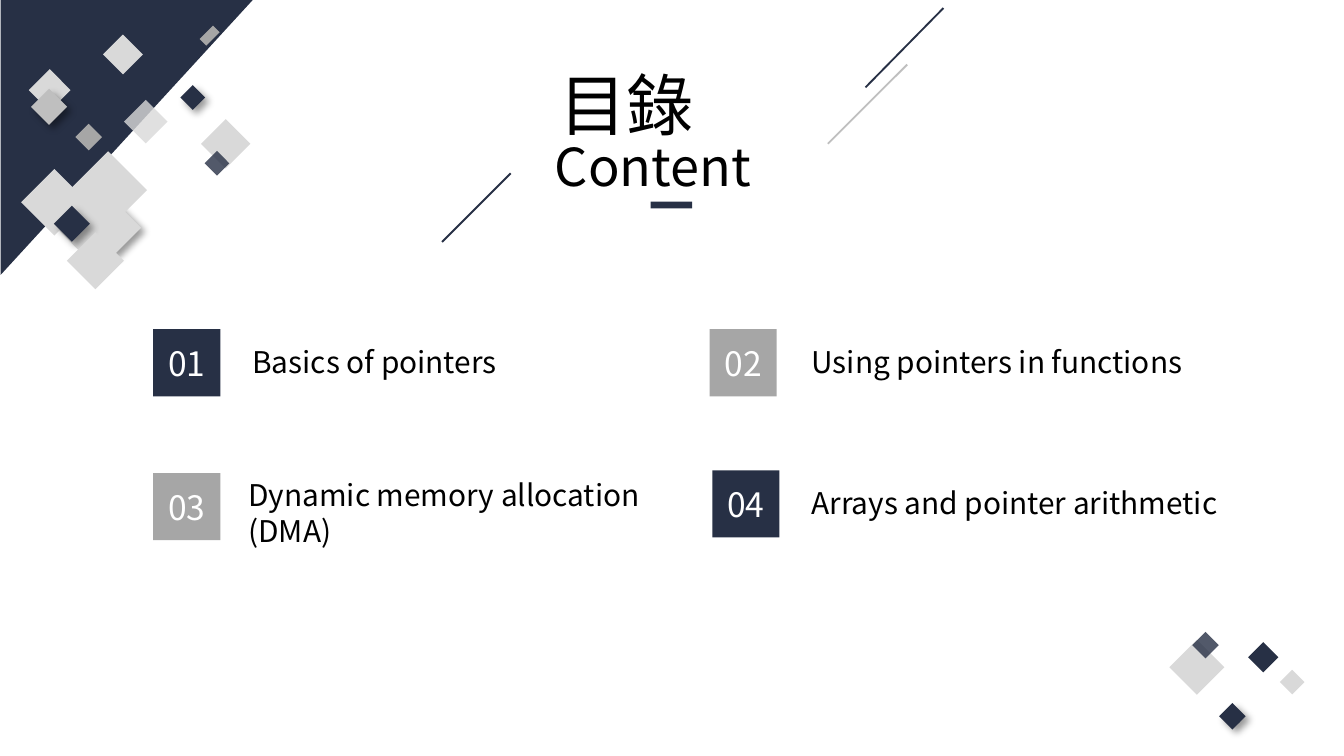
"""Build a contents slide with four numbered topics and diamond decorations."""
from typing import NamedTuple

import lxml.etree
import pptx
import pptx.dml.color
import pptx.enum.shapes
import pptx.enum.text
import pptx.oxml
import pptx.oxml.ns
import pptx.util

Inches = pptx.util.Inches
Shapes = pptx.enum.shapes.MSO_SHAPE
Align = pptx.enum.text.PP_ALIGN
Anchor = pptx.enum.text.MSO_ANCHOR
AutoSize = pptx.enum.text.MSO_AUTO_SIZE

FONT = "Noto Sans CJK SC"
NAVY, SILVER, GRAY, PALE = "273045", "BFBFBF", "A6A6A6", "D9D9D9"
BLACK, WHITE = "000000", "FFFFFF"


class Box(NamedTuple):
    left: float
    top: float
    width: float
    height: float


class Diamond(NamedTuple):
    left: float
    top: float
    size: float
    color: str
    shadow: bool = False
    alpha: int = 100
    height: float | None = None


class Line(NamedTuple):
    start: tuple[float, float]
    end: tuple[float, float]
    color: str


class Topic(NamedTuple):
    number: str
    lines: tuple[str, ...]
    color: str
    badge: tuple[float, float]
    text: Box


LINES = [
    Line((6.44, 0.65), (7.02, 0.06), NAVY),
    Line((6.16, 1.07), (6.75, 0.48), SILVER),
    Line((3.29, 1.8), (3.8, 1.29), NAVY),
]
DIAMONDS = [
    Diamond(9.32, 4.81, 0.16, NAVY),
    Diamond(9.55, 5.01, 0.13, PALE),
    Diamond(8.76, 4.82, 0.29, PALE),
    Diamond(9.1, 5.26, 0.14, NAVY, shadow=True),
    Diamond(8.9, 4.73, 0.14, NAVY, alpha=80),
    Diamond(0.81, 0.3, 0.21, PALE),
    Diamond(0.59, 0.95, 0.14, GRAY),
    Diamond(0.26, 0.56, 0.22, PALE),
    Diamond(0.27, 0.7, 0.19, SILVER, shadow=True),
    Diamond(1.49, 0.23, 0.14, GRAY, height=0.07),
    Diamond(0.23, 1.33, 0.35, PALE),
    Diamond(0.7, 1.55, 0.29, PALE, shadow=True),
    Diamond(0.6, 1.48, 0.18, PALE),
    Diamond(0.46, 1.51, 0.32, PALE),
    Diamond(1.55, 0.94, 0.26, PALE),
    Diamond(1.37, 0.66, 0.13, NAVY, shadow=True),
    Diamond(0.44, 1.57, 0.19, NAVY, shadow=True),
    Diamond(1.55, 1.15, 0.13, NAVY, alpha=80),
    Diamond(0.97, 0.79, 0.23, PALE, alpha=80),
    Diamond(0.6, 1.21, 0.41, PALE),
    Diamond(0.56, 1.79, 0.3, PALE),
]
TOPICS = [
    Topic("03", ("Dynamic memory allocation", "(DMA)"), GRAY, (1.14, 3.52), Box(1.75, 3.5, 3.22, 0.64)),
    Topic("01", ("Basics of pointers",), NAVY, (1.14, 2.45), Box(1.78, 2.51, 2.08, 0.37)),
    Topic("02", ("Using pointers in functions",), GRAY, (5.28, 2.45), Box(5.94, 2.51, 3.09, 0.37)),
    Topic("04", ("Arrays and pointer arithmetic",), NAVY, (5.3, 3.5), Box(5.94, 3.56, 3.35, 0.37)),
]


def rgb(color: str) -> pptx.dml.color.RGBColor:
    return pptx.dml.color.RGBColor.from_string(color)


def add_child(parent, tag: str, **attributes):
    child = lxml.etree.SubElement(parent, pptx.oxml.ns.qn(tag))
    for name, value in attributes.items():
        child.set(name, str(value))
    return child


def write(text_frame, lines: tuple[str, ...], size: int, color: str, alignment) -> None:
    text_frame.text = "\n".join(lines)
    for paragraph in text_frame.paragraphs:
        paragraph.alignment = alignment
        paragraph.font.size = pptx.util.Pt(size)
        paragraph.font.name = FONT
        paragraph.font.color.rgb = rgb(color)
        properties = paragraph._p.pPr.find(pptx.oxml.ns.qn("a:defRPr"))
        add_child(properties, "a:ea", typeface=FONT)


def add_filled(slide, kind, box: Box, color: str):
    shape = slide.shapes.add_shape(kind, *map(Inches, box))
    shape.shadow.inherit = False
    shape.fill.solid()
    shape.fill.fore_color.rgb = rgb(color)
    shape.line.fill.background()
    return shape


def add_diamond(slide, diamond: Diamond) -> None:
    box = Box(diamond.left, diamond.top, diamond.size, diamond.height or diamond.size)
    shape = add_filled(slide, Shapes.RECTANGLE, box, diamond.color)
    shape.rotation = 315
    properties = shape._element.spPr
    if diamond.alpha < 100:
        color = properties.find(".//" + pptx.oxml.ns.qn("a:srgbClr"))
        add_child(color, "a:alpha", val=diamond.alpha * 1000)
    if diamond.shadow:
        effects = properties.find(pptx.oxml.ns.qn("a:effectLst"))
        shadow = add_child(effects, "a:outerShdw", blurRad=pptx.util.Pt(4), dist=pptx.util.Pt(3),
                           dir=45 * 60000, algn="tl", rotWithShape=0)
        color = add_child(shadow, "a:srgbClr", val=BLACK)
        add_child(color, "a:alpha", val=40000)


def add_line(slide, line: Line) -> None:
    connector = slide.shapes.add_connector(
        pptx.enum.shapes.MSO_CONNECTOR.STRAIGHT, *map(Inches, line.start + line.end))
    connector.line.color.rgb = rgb(line.color)
    connector.line.width = pptx.util.Pt(1)
    add_child(connector._element.spPr, "a:effectLst")


def add_text(slide, box: Box, lines: tuple[str, ...], size: int, alignment, wrap: bool) -> None:
    text_frame = slide.shapes.add_textbox(*map(Inches, box)).text_frame
    text_frame.word_wrap = wrap
    text_frame.auto_size = AutoSize.SHAPE_TO_FIT_TEXT
    write(text_frame, lines, size, BLACK, alignment)


def add_topic(slide, topic: Topic) -> None:
    badge = add_filled(slide, Shapes.RECTANGLE, Box(*topic.badge, 0.5, 0.5), topic.color)
    badge.text_frame.vertical_anchor = Anchor.MIDDLE
    write(badge.text_frame, (topic.number,), 18, WHITE, Align.CENTER)
    add_text(slide, topic.text, topic.lines, 16, Align.LEFT, wrap=False)


def set_title(slide, box: Box, text: str) -> None:
    title = slide.shapes.title
    title.left, title.top, title.width, title.height = map(Inches, box)
    title.text_frame.word_wrap = True
    title.text_frame.auto_size = AutoSize.SHAPE_TO_FIT_TEXT
    title.text_frame.vertical_anchor = Anchor.TOP
    write(title.text_frame, (text,), 36, BLACK, Align.JUSTIFY)


def main() -> None:
    presentation = pptx.Presentation()
    presentation.slide_width = Inches(10)
    presentation.slide_height = Inches(10 * 9 / 16)
    slide = presentation.slides.add_slide(presentation.slide_layouts.get_by_name("Title Only"))
    for line in LINES:
        add_line(slide, line)
    corner = add_filled(slide, Shapes.ISOSCELES_TRIANGLE, Box(-0.08, 0.08, 2.05, 1.88), NAVY)
    corner.adjustments[0] = 0
    corner.rotation = 90
    for diamond in DIAMONDS:
        add_diamond(slide, diamond)
    set_title(slide, Box(4.06, 0.42, 1.88, 0.71), "目錄")
    add_text(slide, Box(4.03, 0.95, 1.93, 0.57), ("Content",), 28, Align.JUSTIFY, wrap=True)
    add_filled(slide, Shapes.RECTANGLE, Box(4.84, 1.5, 0.31, 0.05), NAVY)
    for topic in TOPICS:
        add_topic(slide, topic)
    presentation.save("out.pptx")


if __name__ == "__main__":
    main()
